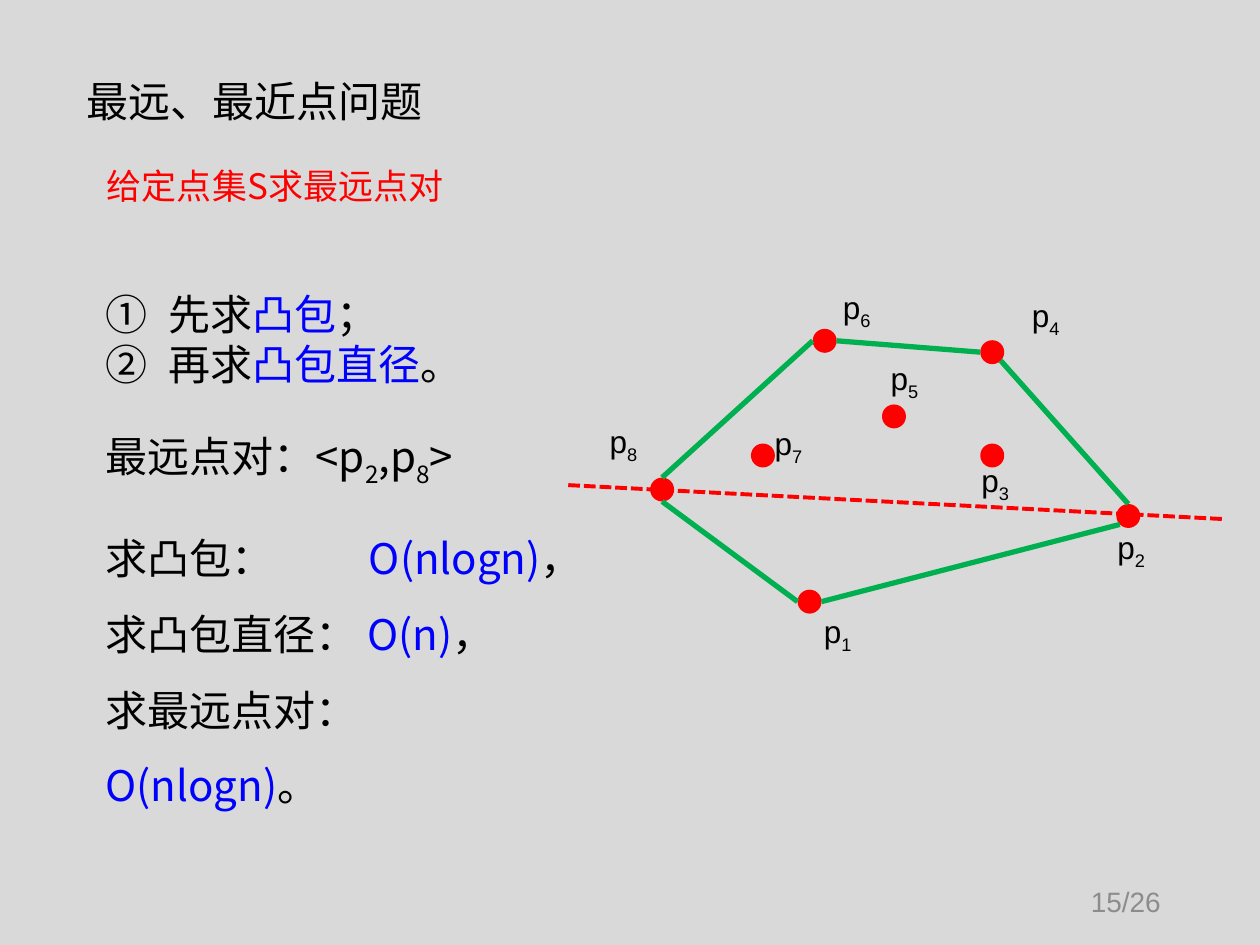
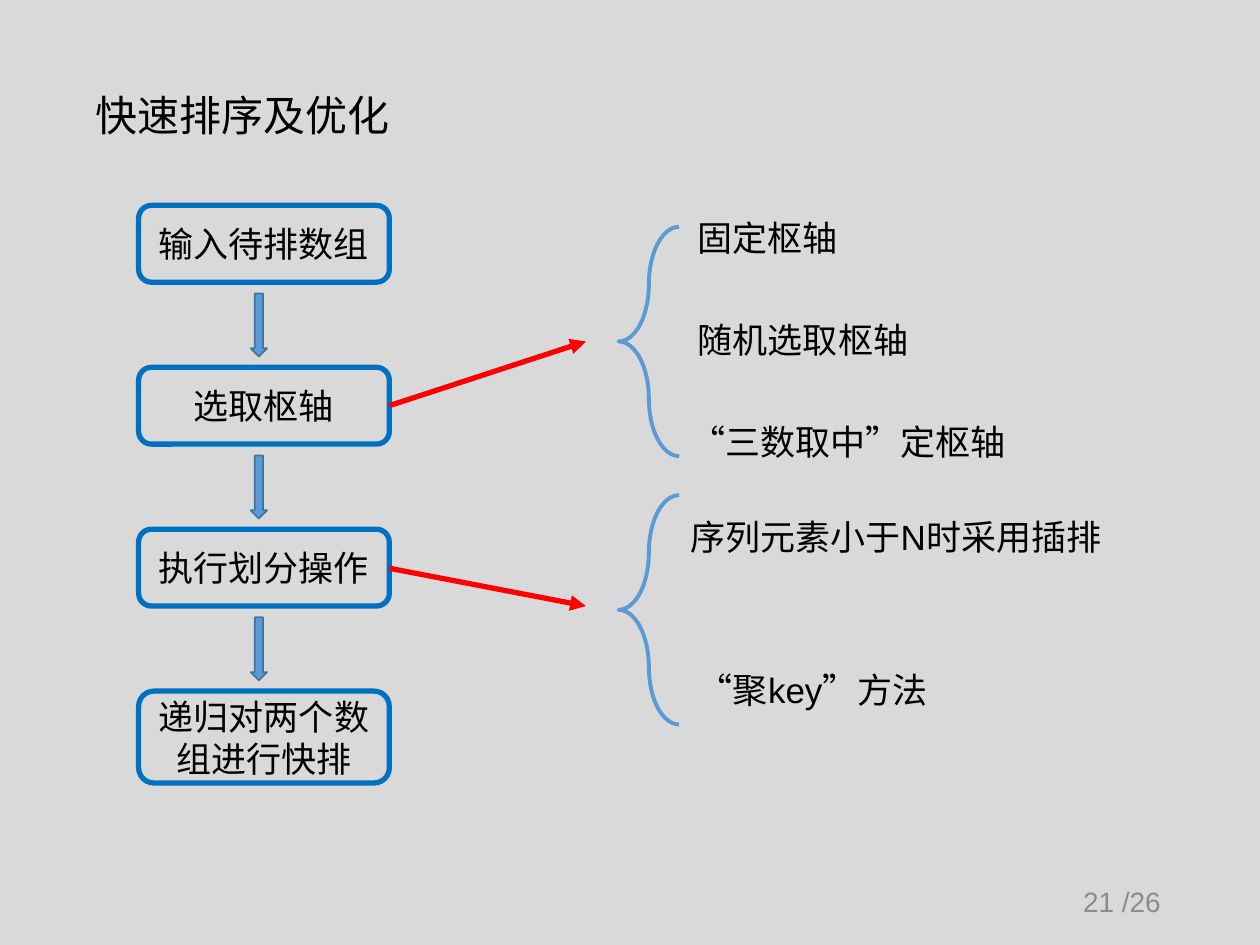
from pptx import Presentation
from pptx.dml.color import RGBColor
from pptx.enum.dml import MSO_LINE
from pptx.enum.shapes import MSO_CONNECTOR, MSO_SHAPE
from pptx.enum.text import MSO_ANCHOR, PP_ALIGN
from pptx.oxml.ns import qn
from pptx.util import Inches, Pt
from lxml.etree import SubElement

WIDTH, HEIGHT = Inches(10), Inches(7.5)
COLUMN, ROW = WIDTH / 100, HEIGHT / 75

BLACK = RGBColor(0, 0, 0)
RED = RGBColor(0xFF, 0, 0)
BLUE = RGBColor(0, 0, 0xFF)
GREEN = RGBColor(0, 0xB0, 0x50)
GREY = RGBColor(0x8C, 0x8C, 0x8C)
BACKGROUND = RGBColor(0xD9, 0xD9, 0xD9)
FRAME_BLUE = RGBColor(0, 0x70, 0xC0)
SOFT_BLUE = RGBColor(0x5B, 0x9B, 0xD5)
ARROW_EDGE = RGBColor(0x43, 0x73, 0x9E)

LATIN, CJK = "Arial", "Noto Sans CJK SC"
BREAK = "\v"
DOT = 1.9
DIAGONAL = 0.71

POINTS = {1: (64.25, 47.75), 2: (89.55, 40.95), 3: (78.75, 36.15),
          4: (78.75, 27.95), 5: (70.95, 33.05), 6: (65.45, 27.05),
          7: (60.55, 36.15), 8: (52.55, 38.85)}
POINT_LABELS = {1: (64.4, 48.1), 2: (87.7, 41.4), 3: (76.9, 36.1),
                4: (80.9, 23), 5: (69.7, 28), 6: (65.9, 22.4),
                7: (60.5, 33.2), 8: (47.4, 33)}
HULL_EDGES = [(1, (1, 0), 2, (-DIAGONAL, DIAGONAL)),
              (4, (DIAGONAL, DIAGONAL), 2, (0, -1)),
              (6, (1, 0), 4, (-1, 0)),
              (8, (0, -1), 6, (-1, 0)),
              (8, (0, 1), 1, (-1, 0))]


def place(left, top, width, height):
    return (round(left * COLUMN), round(top * ROW),
            round(width * COLUMN), round(height * ROW))


def write(paragraph, parts, size, font, color=BLACK):
    for part in [parts] if isinstance(parts, str) else parts:
        wording, tone, sub = part if isinstance(part, tuple) else (part, color, False)
        if wording == BREAK:
            paragraph.add_line_break()
            continue
        run = paragraph.add_run()
        run.text = wording
        run.font.size = Pt(size)
        run.font.name = font
        run.font.color.rgb = tone
        properties = run.font._element
        SubElement(properties, qn("a:ea")).set("typeface", CJK)
        if sub:
            properties.set("baseline", "-25000")


def add_text(slide, box, lines, size=20, font=LATIN, color=BLACK, spacing=None,
             align=None, anchor=MSO_ANCHOR.TOP):
    frame = slide.shapes.add_textbox(*place(*box)).text_frame
    frame.word_wrap = True
    frame.vertical_anchor = anchor
    for index, parts in enumerate(lines):
        paragraph = frame.add_paragraph() if index else frame.paragraphs[0]
        paragraph.line_spacing = spacing
        paragraph.alignment = align
        write(paragraph, parts, size, font, color)
    return frame


def add_figure(slide, kind, box, fill=None, edge=None, weight=1):
    figure = slide.shapes.add_shape(kind, *place(*box))
    figure.shadow.inherit = False
    if fill is None:
        figure.fill.background()
    else:
        figure.fill.solid()
        figure.fill.fore_color.rgb = fill
    if edge is None:
        figure.line.fill.background()
    else:
        figure.line.color.rgb = edge
        figure.line.width = Pt(weight)
    return figure


def add_line(slide, start, end, color, weight=3, dash=None, arrow=False):
    line = slide.shapes.add_connector(MSO_CONNECTOR.STRAIGHT, *place(*start, *end))
    line.line.color.rgb = color
    line.line.width = Pt(weight)
    if dash:
        line.line.dash_style = dash
    if arrow:
        SubElement(line.line._get_or_add_ln(), qn("a:tailEnd")).set("type", "triangle")
    SubElement(line._element.spPr, qn("a:effectLst"))


def number_paragraphs(frame):
    for paragraph in frame.paragraphs:
        properties = paragraph._p.get_or_add_pPr()
        properties.set("marL", str(Inches(0.5)))
        properties.set("indent", str(-Inches(0.5)))
        SubElement(properties, qn("a:buFont")).set("typeface", "+mj-lt")
        SubElement(properties, qn("a:buAutoNum")).set("type", "circleNumDbPlain")


def add_tab_stop(paragraph, position):
    stops = SubElement(paragraph._p.get_or_add_pPr(), qn("a:tabLst"))
    stop = SubElement(stops, qn("a:tab"))
    stop.set("pos", str(Inches(position)))
    stop.set("algn", "l")


def start_slide(deck, title, title_box, page, **title_style):
    slide = deck.slides.add_slide(deck.slide_layouts[6])
    slide.background.fill.solid()
    slide.background.fill.fore_color.rgb = BACKGROUND
    add_text(slide, title_box, [title], 24, **title_style)
    add_text(slide, (70.6, 69.5, 22.5, 4), [page], 16, color=GREY,
             align=PP_ALIGN.RIGHT, anchor=MSO_ANCHOR.MIDDLE)
    return slide


def rim(point, direction):
    return tuple(centre + step * DOT / 2
                 for centre, step in zip(POINTS[point], direction))


def add_hull(slide):
    add_line(slide, (45.1, 38.5), (97.1, 41.2), RED, 2.25, MSO_LINE.SQUARE_DOT)
    for x, y in POINTS.values():
        add_figure(slide, MSO_SHAPE.FLOWCHART_CONNECTOR,
                   (x - DOT / 2, y - DOT / 2, DOT, DOT), RED)
    for number, corner in POINT_LABELS.items():
        add_text(slide, (*corner, 5.5, 4), [["p", (str(number), BLACK, True)]], 18)
    for first, leaving, second, arriving in HULL_EDGES:
        add_line(slide, rim(first, leaving), rim(second, arriving), GREEN)


def build_farthest_pair(deck):
    slide = start_slide(deck, "最远、最近点问题", (5.9, 4.9, 35.2, 6.7), "15/26",
                        spacing=0.9, anchor=MSO_ANCHOR.MIDDLE)
    add_text(slide, (7.5, 12.6, 44.1, 4.4), ["给定点集S求最远点对"], font=CJK, color=RED)
    steps = add_text(slide, (7.4, 22.4, 39.8, 9.1),
                     [["先求", ("凸包", BLUE, False), "；"],
                      ["再求", ("凸包直径", BLUE, False), "。"]], 24, CJK)
    number_paragraphs(steps)
    add_text(slide, (7.4, 33.7, 30.5, 5.1),
             [["最远点对：<p", ("2", BLACK, True), ",p", ("8", BLACK, True), ">"]],
             24, CJK)
    sorting_cost = ("O(nlogn)", BLUE, False)
    costs = add_text(slide, (7.4, 39.8, 40.6, 19.2),
                     [["求凸包：\t", sorting_cost, "，"],
                      ["求凸包直径： ", ("O(n)", BLUE, False), "，"],
                      ["求最远点对：", BREAK, sorting_cost, "。"]],
                     24, CJK, spacing=1.5)
    add_tab_stop(costs.paragraphs[0], 2.09)
    add_hull(slide)


def add_flow(slide, stages):
    for index, stage in enumerate(stages):
        top = 16.3 + 12.85 * index
        last = index == len(stages) - 1
        box = add_figure(slide, MSO_SHAPE.ROUNDED_RECTANGLE,
                         (11, top, 19.9, 7.3 if last else 6.1), edge=FRAME_BLUE, weight=3)
        box.text_frame.word_wrap = True
        box.text_frame.vertical_anchor = MSO_ANCHOR.MIDDLE
        paragraph = box.text_frame.paragraphs[0]
        paragraph.alignment = PP_ALIGN.CENTER
        write(paragraph, stage, 20, LATIN)
        if not last:
            add_figure(slide, MSO_SHAPE.DOWN_ARROW, (19.9, top + 7, 1.3, 5),
                       SOFT_BLUE, ARROW_EDGE)


def add_options(slide, brace_top, arrow_start, arrow_end, options):
    add_line(slide, arrow_start, arrow_end, RED, arrow=True)
    brace = add_figure(slide, MSO_SHAPE.LEFT_BRACE, (49.1, brace_top, 4.8, 18.2),
                       edge=SOFT_BLUE, weight=2.25)
    brace.adjustments[0] = 1.265
    for wording, left, top in options:
        add_text(slide, (left, top, 43.2, 4.4), [wording])


def build_quick_sort(deck):
    slide = start_slide(deck, "快速排序及优化", (6.6, 6.6, 74.1, 5), "21 /26")
    add_flow(slide, ["输入待排数组", "选取枢轴", "执行划分操作", "递归对两个数组进行快排"])
    add_options(slide, 18, (30.9, 32.2), (46.5, 27.1),
                [("固定枢轴", 54.4, 16.7), ("随机选取枢轴", 54.4, 24.8),
                 ("“三数取中”定枢轴", 53.8, 32.9)])
    add_options(slide, 39.3, (30.9, 45.1), (46.5, 48.1),
                [("序列元素小于N时采用插排", 53.8, 40.4), ("“聚key”方法", 54.4, 52.6)])


def main():
    deck = Presentation()
    deck.slide_width, deck.slide_height = WIDTH, HEIGHT
    build_farthest_pair(deck)
    build_quick_sort(deck)
    deck.save("out.pptx")


main()
